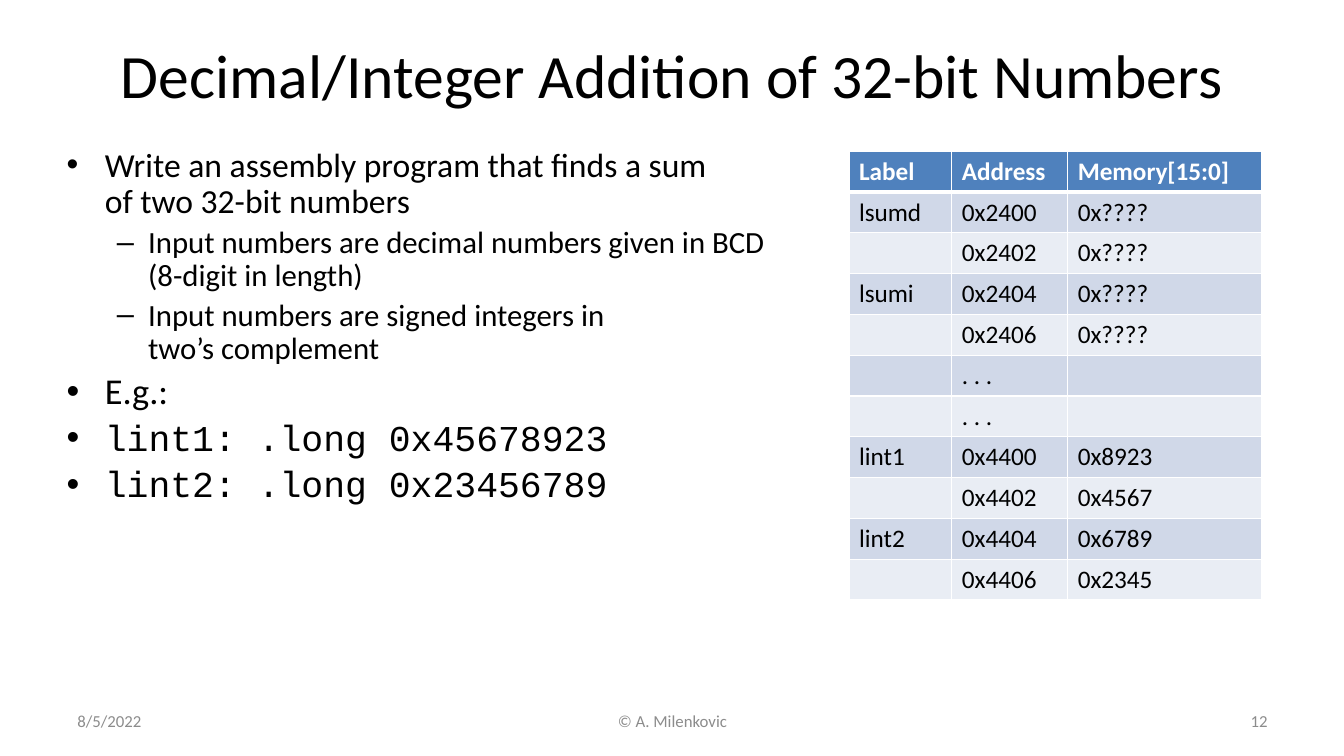
from lxml import etree
from pptx import Presentation
from pptx.dml.color import RGBColor
from pptx.enum.text import MSO_ANCHOR as Anchor, MSO_AUTO_SIZE as AutoSize, PP_ALIGN as Align
from pptx.oxml.ns import qn
from pptx.util import Inches, Pt

COLORS = {
    "text": "000000",
    "footer": "8C8C8C",
    "white": "FFFFFF",
    "header": "4F81BD",
    "odd_row": "D0D8E8",
    "even_row": "E9EDF4",
}
INDENTS = [(0.38, -0.38), (0.81, -0.31)]
BULLETS = [
    (0, 24, "Calibri", "Write an assembly program that finds a sum \nof two 32-bit numbers"),
    (1, 22, "Calibri", "Input numbers are decimal numbers given in BCD\n(8-digit in length)"),
    (1, 22, "Calibri", "Input numbers are signed integers in \ntwo’s complement"),
    (0, 26, "Calibri", "E.g.:"),
    (0, 26, "Courier New", "lint1: .long 0x45678923"),
    (0, 26, "Courier New", "lint2: .long 0x23456789"),
]
MEMORY = [
    ("Label", "Address", "Memory[15:0]"),
    ("lsumd", "0x2400", "0x????"),
    ("", "0x2402", "0x????"),
    ("lsumi", "0x2404", "0x????"),
    ("", "0x2406", "0x????"),
    ("", ". . .", ""),
    ("", ". . .", ""),
    ("lint1", "0x4400", "0x8923"),
    ("", "0x4402", "0x4567"),
    ("lint2", "0x4404", "0x6789"),
    ("", "0x4406", "0x2345"),
]
COLUMN_WIDTHS = [1.02, 1.15, 1.92]
ROW_HEIGHT = 0.405
FOOTERS = [
    (0.67, 3.11, Align.LEFT, "8/5/2022"),
    (4.56, 4.22, Align.CENTER, "© A. Milenkovic"),
    (9.56, 3.11, Align.RIGHT, "12"),
]


def color(name):
    return RGBColor.from_string(COLORS[name])


def style_runs(paragraph, size, color_name="text", font="Calibri", bold=False):
    for run in paragraph.runs:
        run.font.size = Pt(size)
        run.font.name = font
        run.font.bold = bold
        run.font.color.rgb = color(color_name)


def place(shape, left, top, width, height):
    shape.left, shape.top = Inches(left), Inches(top)
    shape.width, shape.height = Inches(width), Inches(height)


def fill_title(title):
    place(title, 0.67, 0.3, 12, 0.87)
    frame = title.text_frame
    frame.text = "Decimal/Integer Addition of 32-bit Numbers"
    frame.auto_size = AutoSize.NONE
    frame.vertical_anchor = Anchor.MIDDLE
    frame.paragraphs[0].alignment = Align.CENTER
    style_runs(frame.paragraphs[0], 44)


def fill_bullets(body):
    place(body, 0.56, 1.42, 12, 4.95)
    frame = body.text_frame
    frame.auto_size = AutoSize.NONE
    for index, (level, size, font, text) in enumerate(BULLETS):
        paragraph = frame.add_paragraph() if index else frame.paragraphs[0]
        paragraph.text = text
        paragraph.level = level
        paragraph.line_spacing = 0.9
        paragraph.space_before = Pt(round(size * 0.2, 1))
        margin, indent = INDENTS[level]
        properties = paragraph._p.get_or_add_pPr()
        properties.set("marL", str(Inches(margin)))
        properties.set("indent", str(Inches(indent)))
        style_runs(paragraph, size, font=font)


def add_borders(cell, widths):
    properties = cell._tc.get_or_add_tcPr()
    for side, width in widths.items():
        line = etree.SubElement(properties, qn(f"a:ln{side}"), w=str(Pt(width)))
        solid = etree.SubElement(line, qn("a:solidFill"))
        etree.SubElement(solid, qn("a:srgbClr"), val=COLORS["white"])


def add_memory_table(slide):
    rows, columns = len(MEMORY), len(COLUMN_WIDTHS)
    memory = slide.shapes.add_table(
        rows, columns, Inches(8.42), Inches(1.5),
        Inches(sum(COLUMN_WIDTHS)), Inches(rows * ROW_HEIGHT),
    ).table
    for column, width in zip(memory.columns, COLUMN_WIDTHS):
        column.width = Inches(width)
    for r, values in enumerate(MEMORY):
        memory.rows[r].height = Inches(ROW_HEIGHT)
        is_header = r == 0
        fill = "header" if is_header else "odd_row" if r % 2 else "even_row"
        widths = {"L": 1, "R": 1, "T": 3 if r == 1 else 1, "B": 3 if is_header else 1}
        for c, value in enumerate(values):
            cell = memory.cell(r, c)
            add_borders(cell, widths)
            cell.fill.solid()
            cell.fill.fore_color.rgb = color(fill)
            paragraph = cell.text_frame.paragraphs[0]
            paragraph.text = value
            paragraph.font.size = Pt(18)
            style_runs(paragraph, 18, "white" if is_header else "text", bold=is_header)


def add_footer(slide, left, width, alignment, text):
    footer = slide.shapes.add_textbox(Inches(left), Inches(6.95), Inches(width), Inches(0.4))
    frame = footer.text_frame
    frame.word_wrap = True
    frame.vertical_anchor = Anchor.MIDDLE
    frame.text = text
    frame.paragraphs[0].alignment = alignment
    style_runs(frame.paragraphs[0], 12, "footer")


def main():
    deck = Presentation()
    deck.slide_width, deck.slide_height = Inches(13.33), Inches(7.5)
    slide = deck.slides.add_slide(deck.slide_layouts[1])
    fill_title(slide.shapes.title)
    fill_bullets(slide.placeholders[1])
    for footer in FOOTERS:
        add_footer(slide, *footer)
    add_memory_table(slide)
    deck.save("out.pptx")


if __name__ == "__main__":
    main()
